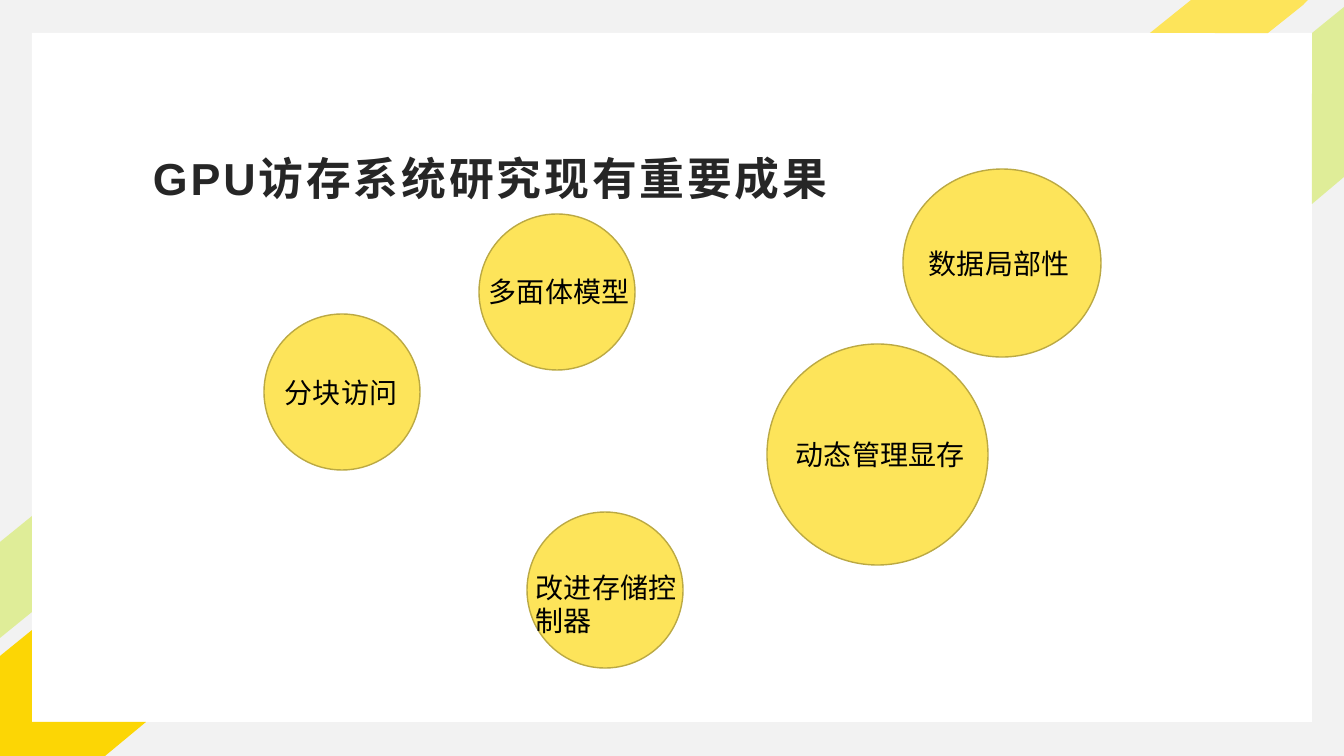
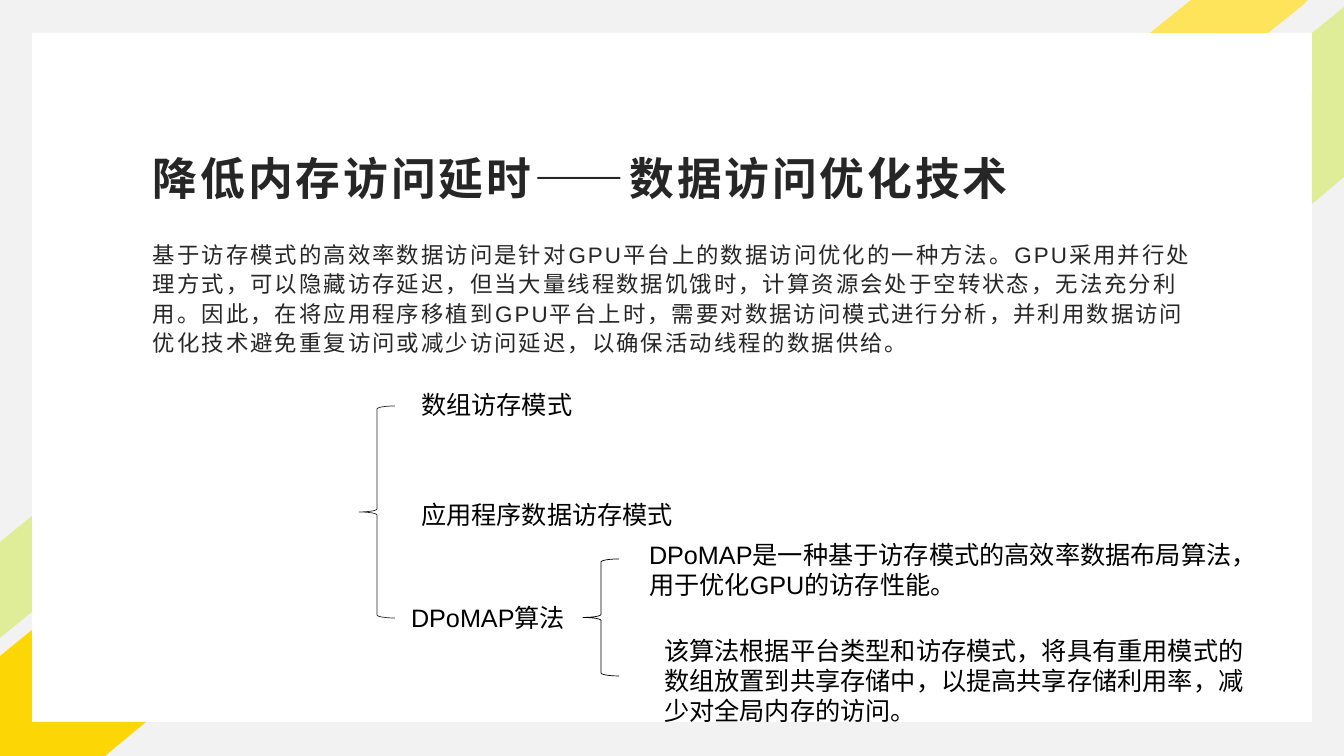
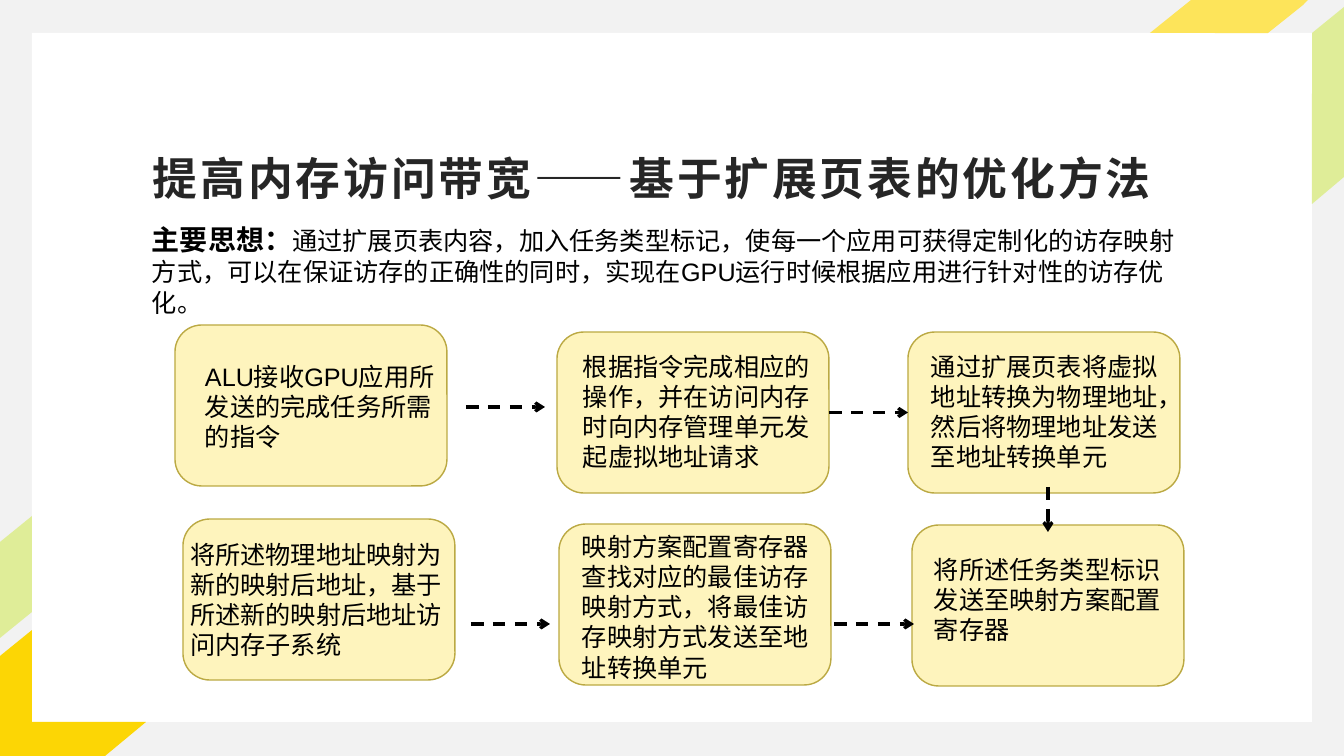
import math

from lxml import etree
from pptx import Presentation
from pptx import util as u
from pptx.dml.color import RGBColor
from pptx.enum import dml, lang, shapes, text
from pptx.oxml.ns import qn

PX = 914400 / 100.8
FONT = "Arial"
INK, BLACK, PAPER, WHITE = "262626", "000000", "F2F2F2", "FFFFFF"
YELLOW, GOLD, GREEN, CREAM, OUTLINE = "FDE45A", "FCD605", "D9EC77", "FEF4BD", "BBA943"

# Shared frame: corner bands as (points, colour, opacity in percent)
SHEET = (32, 33, 1280, 689)
BAND_ANGLE = 321.2
BANDS = [
    ([(1344, 7), (1344, 177), (1312, 204), (1312, 33)], GREEN, 73),
    ([(1191, 0), (1308, 0), (1303, 5), (1268, 33), (1150, 33)], YELLOW, 100),
    ([(32, 630), (32, 722), (146, 722), (105, 756), (0, 756), (0, 656)], GOLD, 100),
    ([(32, 516), (32, 612), (0, 638), (0, 542)], GREEN, 73),
]
TITLE_BOX = (141, 138, 1061, 80)

# Slide 1: (circle box, label box, label)
RESULTS_TITLE = "GPU访存系统研究现有重要成果"
RESULTS = [
    ((903, 169, 198, 188), (919, 241, 165, 44), "数据局部性"),
    ((767, 344, 221, 221), (786, 432, 222, 44), "动态管理显存"),
    ((527, 512, 156, 156), (526, 565, 165, 78), "改进存储控制器"),
    ((479, 214, 156, 156), (479, 269, 165, 44), "多面体模型"),
    ((264, 314, 156, 156), (275, 370, 135, 44), "分块访问"),
]

# Slide 2
LATENCY_TITLE = "降低内存访问延时——数据访问优化技术"
LATENCY_BODY = (
    "基于访存模式的高效率数据访问是针对GPU平台上的数据访问优化的一种方法。"
    "GPU采用并行处理方式，可以隐藏访存延迟，但当大量线程数据饥饿时，"
    "计算资源会处于空转状态，无法充分利用。因此，在将应用程序移植到GPU平台上时，"
    "需要对数据访问模式进行分析，并利用数据访问优化技术避免重复访问或减少访问延迟，"
    "以确保活动线程的数据供给。"
)
BRACES = [((359, 406, 36, 212), INK), ((583, 559, 36, 117), BLACK)]
TREE_LABELS = [
    ((411, 384, 380, 40), "数组访存模式"),
    ((411, 494, 380, 40), "应用程序数据访存模式"),
    ((401, 597, 380, 40), "DPoMAP算法"),
    ((639, 534, 633, 72), "DPoMAP是一种基于访存模式的高效率数据布局算法，用于优化GPU的访存性能。"),
    ((654, 630, 602, 102), "该算法根据平台类型和访存模式，将具有重用模式的数组放置到共享存储中，"
                           "以提高共享存储利用率，减少对全局内存的访问。"),
]

# Slide 3: (card corner, text box, text)
BANDWIDTH_TITLE = "提高内存访问带宽——基于扩展页表的优化方法"
IDEA = [
    ("主要思想：", 20, True),
    ("通过扩展页表内容，加入任务类型标记，使每一个应用可获得定制化的访存映射方式，"
     "可以在保证访存的正确性的同时，实现在GPU运行时候根据应用进行针对性的访存优化。", 18, False),
]
CARD_SIZE = (272, 161)
STEPS = [
    ((175, 325), (195, 356, 270, 102), "ALU接收GPU应用所发送的完成任务所需的指令"),
    ((557, 332), (573, 346, 270, 132), "根据指令完成相应的操作，并在访问内存时向内存管理单元发起虚拟地址请求"),
    ((908, 332), (921, 346, 270, 132), "通过扩展页表将虚拟地址转换为物理地址，然后将物理地址发送至地址转换单元"),
    ((912, 525), (924, 549, 270, 102), "将所述任务类型标识发送至映射方案配置寄存器"),
    ((559, 524), (572, 526, 270, 162), "映射方案配置寄存器查找对应的最佳访存映射方式，"
                                       "将最佳访存映射方式发送至地址转换单元"),
    ((183, 519), (180, 534, 291, 132), "将所述物理地址映射为新的映射后地址，"
                                       "基于所述新的映射后地址访问内存子系统"),
]
ARROWS = [
    (466, 407, 545, 407),
    (471, 624, 550, 624),
    (834, 624, 914, 624),
    (1048, 487, 1048, 532),
]
JOINED_STEPS = (1, 2)


def color(value):
    return RGBColor.from_string(value)


def emu(values):
    return [round(value * PX) for value in values]


def paint(shape, fill=None, line=None, width=1, opacity=100):
    shape.shadow.inherit = False
    if fill:
        shape.fill.solid()
        shape.fill.fore_color.rgb = color(fill)
    else:
        shape.fill.background()
    if line:
        shape.line.color.rgb = color(line)
        shape.line.width = u.Pt(width)
    else:
        shape.line.fill.background()
    if opacity < 100:
        fill_color = shape._element.spPr.find(qn("a:solidFill"))[0]
        etree.SubElement(fill_color, qn("a:alpha"), val=str(opacity * 1000))


def add_shape(slide, kind, box, **style):
    shape = slide.shapes.add_shape(kind, *emu(box))
    paint(shape, **style)
    return shape


def turn(point, degrees):
    x, y = point
    cosine, sine = math.cos(math.radians(degrees)), math.sin(math.radians(degrees))
    return x * cosine - y * sine, x * sine + y * cosine


def add_band(slide, points, fill, opacity):
    """Draw a band upright, then rotate it onto its points."""
    upright = [turn(point, -BAND_ANGLE) for point in points]
    center = [(min(axis) + max(axis)) / 2 for axis in zip(*upright)]
    goal = turn(center, BAND_ANGLE)
    placed = [(x + goal[0] - center[0], y + goal[1] - center[1]) for x, y in upright]
    corners = [emu(point) for point in placed]
    builder = slide.shapes.build_freeform(*corners[0])
    builder.add_line_segments(corners[1:], close=True)
    band = builder.convert_to_shape()
    band.rotation = BAND_ANGLE
    paint(band, fill, opacity=opacity)


def add_text(slide, box, runs, ink=BLACK, spacing=0, margins=(10, 5, 10, 5)):
    """Add a text box; runs are (text, size, bold)."""
    shape = slide.shapes.add_textbox(*emu(box))
    frame = shape.text_frame
    frame.word_wrap = True
    (frame.margin_left, frame.margin_top,
     frame.margin_right, frame.margin_bottom) = emu(margins)
    paragraph = frame.paragraphs[0]
    for words, size, bold in runs:
        run = paragraph.add_run()
        run.text = words
        font = run.font
        font.size, font.bold, font.name = u.Pt(size), bold, FONT
        font.color.rgb = color(ink)
        font.language_id = lang.MSO_LANGUAGE_ID.SIMPLIFIED_CHINESE
        if spacing:
            run._r.get_or_add_rPr().set("spc", str(round(spacing * 100)))
    return frame


def add_arrow(slide, points):
    arrow = slide.shapes.add_connector(shapes.MSO_CONNECTOR.STRAIGHT, *emu(points))
    arrow.line.color.rgb = color(BLACK)
    arrow.line.width = u.Pt(2.25)
    arrow.line.dash_style = dml.MSO_LINE.DASH
    etree.SubElement(arrow.line._get_or_add_ln(), qn("a:tailEnd"), type="arrow")
    etree.SubElement(arrow._element.spPr, qn("a:effectLst"))
    return arrow


def new_slide(presentation, title):
    """Add a slide with the shared background, bands and title."""
    slide = presentation.slides.add_slide(presentation.slide_layouts[6])
    slide.background.fill.solid()
    slide.background.fill.fore_color.rgb = color(PAPER)
    add_shape(slide, shapes.MSO_SHAPE.RECTANGLE, SHEET, fill=WHITE)
    for points, fill, opacity in BANDS:
        add_band(slide, points, fill, opacity)
    frame = add_text(slide, TITLE_BOX, [(title, 32, True)], INK, 2, (12, 4, 8, 4))
    frame.vertical_anchor = text.MSO_ANCHOR.MIDDLE
    return slide


def results_slide(presentation):
    slide = new_slide(presentation, RESULTS_TITLE)
    for circle, _, _ in RESULTS:
        add_shape(slide, shapes.MSO_SHAPE.OVAL, circle, fill=YELLOW, line=OUTLINE)
    for _, box, label in RESULTS:
        add_text(slide, box, [(label, 20, False)])


def latency_slide(presentation):
    slide = new_slide(presentation, LATENCY_TITLE)
    frame = add_text(slide, (141, 238, 1061, 380), [(LATENCY_BODY, 16, False)],
                     INK, 1.5, (12, 0, 9, 0))
    frame.paragraphs[0].line_spacing = 1.1
    for box, ink in BRACES:
        add_shape(slide, shapes.MSO_SHAPE.LEFT_BRACE, box, line=ink, width=0.5)
    for box, label in TREE_LABELS:
        add_text(slide, box, [(label, 18, False)])


def bandwidth_slide(presentation):
    slide = new_slide(presentation, BANDWIDTH_TITLE)
    add_text(slide, (142, 218, 1053, 105), IDEA)
    cards = []
    for corner, box, words in STEPS:
        cards.append(add_shape(slide, shapes.MSO_SHAPE.ROUNDED_RECTANGLE,
                               corner + CARD_SIZE, fill=CREAM, line=OUTLINE))
        add_text(slide, box, [(words, 18, False)])
    for points in ARROWS:
        add_arrow(slide, points)
    # The arrow between neighbouring cards is joined to their sides
    start, end = (cards[index] for index in JOINED_STEPS)
    arrow = add_arrow(slide, (829, 412, 908, 412))
    arrow.begin_connect(start, 3)
    arrow.end_connect(end, 1)


def main():
    presentation = Presentation()
    presentation.slide_width, presentation.slide_height = emu((1344, 756))
    results_slide(presentation)
    latency_slide(presentation)
    bandwidth_slide(presentation)
    presentation.save("out.pptx")


if __name__ == "__main__":
    main()
